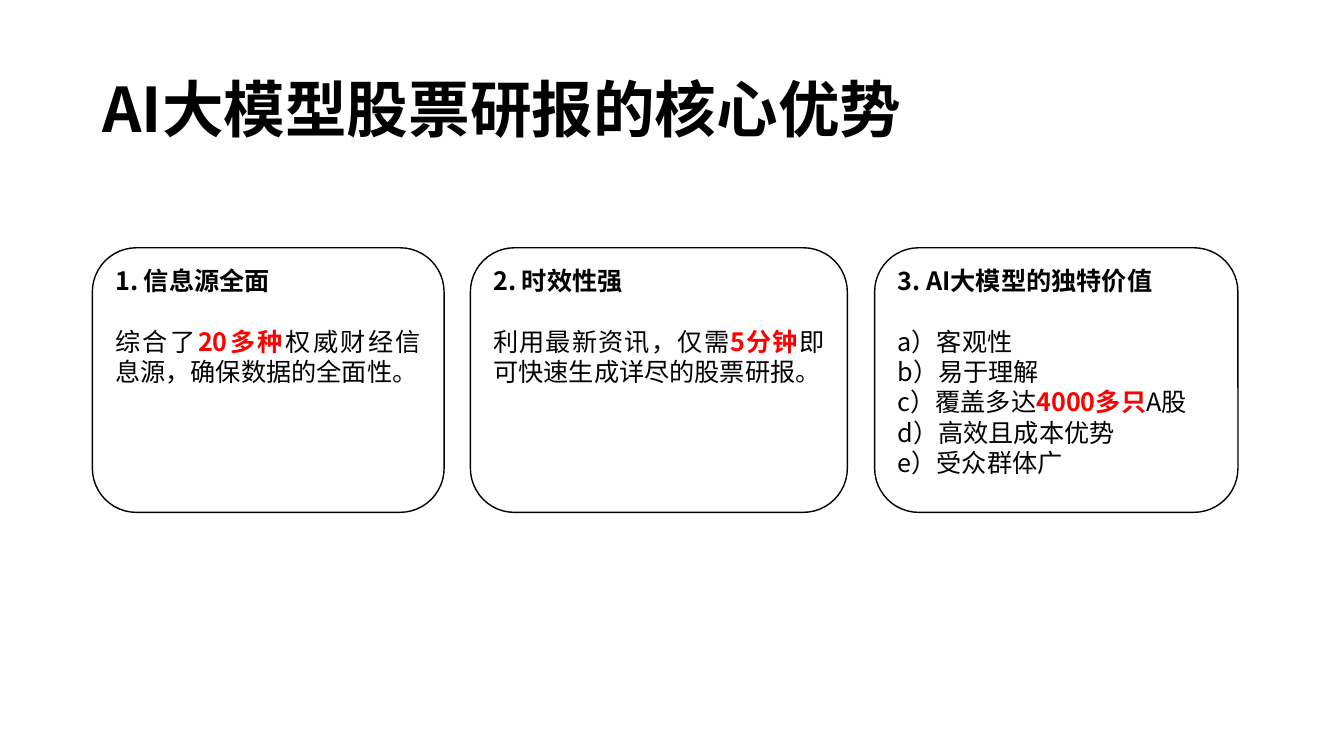
"""Build a slide on the core advantages of AI stock research reports."""
from dataclasses import dataclass

from lxml import etree
from pptx import Presentation, util as u
from pptx.dml.color import RGBColor
from pptx.enum import shapes, text
from pptx.oxml import ns

EMU_PER_PX = 9525
FONT = "Noto Sans CJK SC"
COLORS = {"ink": "000000", "accent": "FF0000", "paper": "FFFFFF"}
CARD_TOP, CARD_HEIGHT = 236, 252
BODY_SIZE, LINE_PITCH = 18, 21.6


@dataclass(frozen=True)
class Span:
    words: str
    bold: bool = False
    color: str = "ink"


@dataclass(frozen=True)
class Card:
    left: int
    width: int
    heading: str
    lines: list[list[Span]]


def highlight(words: str) -> Span:
    return Span(words, True, "accent")


CARDS = [
    Card(88, 335, "1. 信息源全面", [
        [Span("综合了"), highlight("20多种"), Span("权威财经信息源，确保数据的全面性。")],
    ]),
    Card(448, 359, "2. 时效性强", [
        [Span("利用最新资讯，仅需"), highlight("5分钟"), Span("即可快速生成详尽的股票研报。")],
    ]),
    Card(833, 346, "3. AI大模型的独特价值", [
        [Span("a）客观性")],
        [Span("b）易于理解")],
        [Span("c）覆盖多达"), highlight("4000多只"), Span("A股")],
        [Span("d）高效且成本优势")],
        [Span("e）受众群体广")],
    ]),
]


def px(length: int) -> u.Emu:
    return u.Emu(length * EMU_PER_PX)


def rgb(name: str) -> RGBColor:
    return RGBColor.from_string(COLORS[name])


def add_span(paragraph, span: Span, size: int) -> None:
    run = paragraph.add_run()
    run.text = span.words
    run.font.size = u.Pt(size)
    run.font.bold = span.bold
    run.font.color.rgb = rgb(span.color)
    run.font.name = FONT
    east_asian = etree.SubElement(run._r.get_or_add_rPr(), ns.qn("a:ea"))
    east_asian.set("typeface", FONT)


def add_title(slide, words: str) -> None:
    title = slide.shapes.add_textbox(px(88), px(38), px(1104), px(139))
    frame = title.text_frame
    frame.word_wrap = True
    frame.vertical_anchor = text.MSO_ANCHOR.MIDDLE
    frame.paragraphs[0].line_spacing = 0.9
    add_span(frame.paragraphs[0], Span(words, True), 44)


def add_card(slide, card: Card) -> None:
    panel = slide.shapes.add_shape(
        shapes.MSO_SHAPE.ROUNDED_RECTANGLE,
        px(card.left), px(CARD_TOP), px(card.width), px(CARD_HEIGHT))
    panel.shadow.inherit = False
    panel.fill.solid()
    panel.fill.fore_color.rgb = rgb("paper")
    panel.line.color.rgb = rgb("ink")
    panel.line.width = u.Pt(1)
    frame = panel.text_frame
    frame.word_wrap = True
    frame.vertical_anchor = text.MSO_ANCHOR.TOP
    for index, spans in enumerate([[Span(card.heading, True)], *card.lines]):
        paragraph = frame.add_paragraph() if index else frame.paragraphs[0]
        paragraph.alignment = text.PP_ALIGN.JUSTIFY
        paragraph.line_spacing = u.Pt(LINE_PITCH)
        if index == 1:
            paragraph.space_before = u.Pt(LINE_PITCH)
        for span in spans:
            add_span(paragraph, span, BODY_SIZE)


def main() -> None:
    deck = Presentation()
    deck.slide_width, deck.slide_height = px(1280), px(720)
    slide = deck.slides.add_slide(deck.slide_layouts[6])
    add_title(slide, "AI大模型股票研报的核心优势")
    for card in CARDS:
        add_card(slide, card)
    deck.save("out.pptx")


if __name__ == "__main__":
    main()
